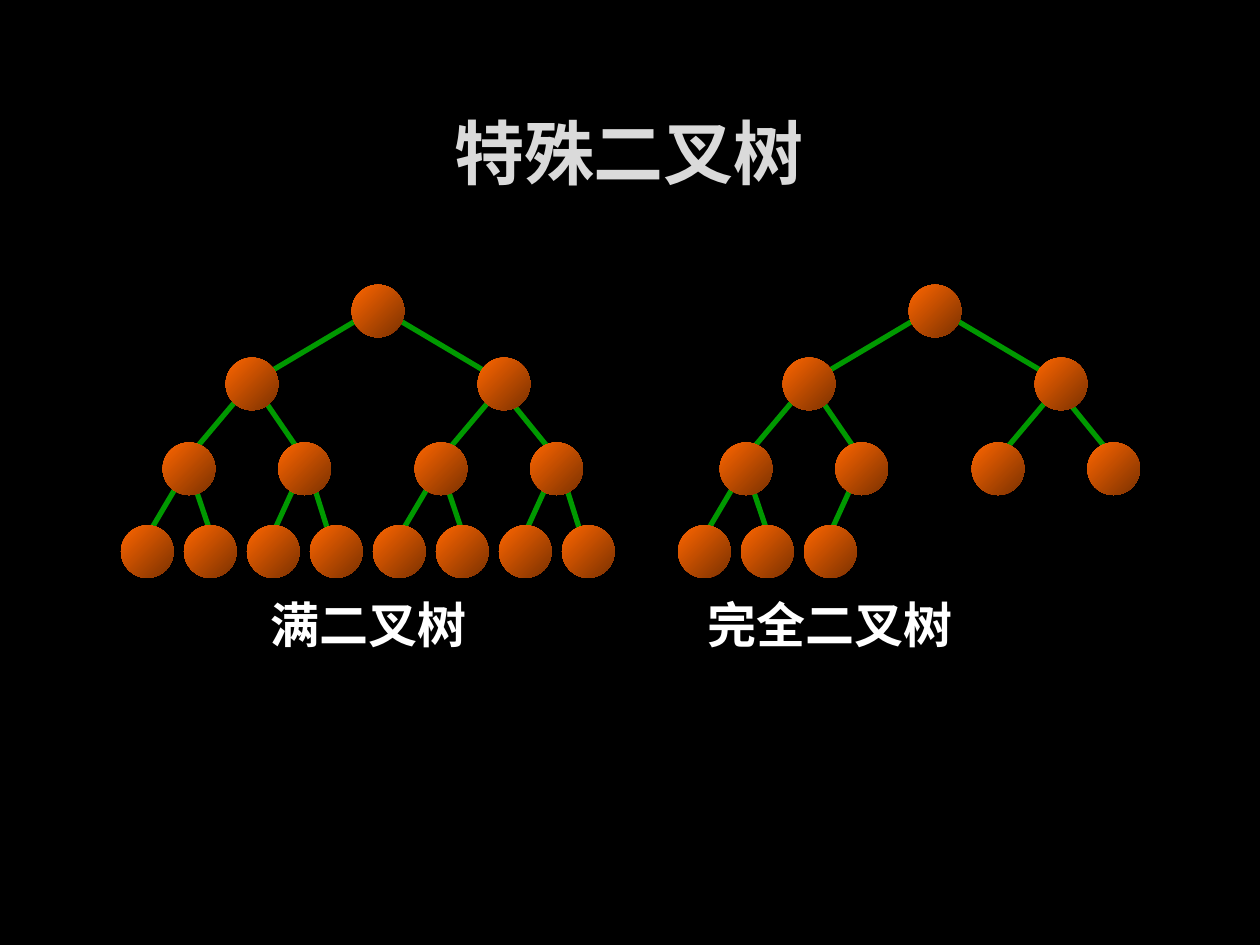
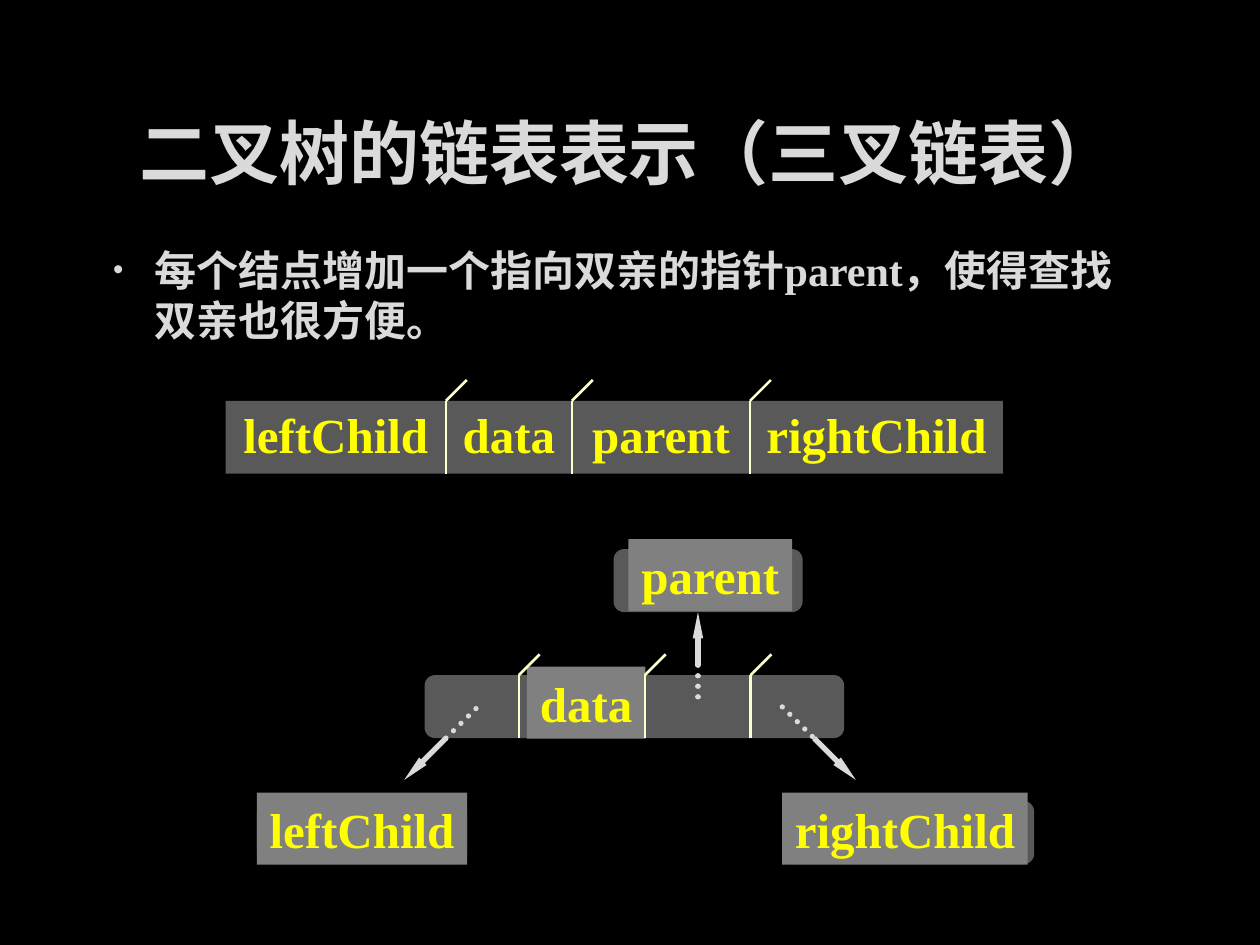
from dataclasses import dataclass

from lxml import etree
from pptx import Presentation
from pptx.dml.color import RGBColor
from pptx.enum.dml import MSO_LINE
from pptx.enum.shapes import MSO_CONNECTOR, MSO_SHAPE
from pptx.enum.text import MSO_ANCHOR, MSO_AUTO_SIZE, PP_ALIGN
from pptx.oxml.ns import qn
from pptx.util import Cm, Pt

# Enum members
LINE = MSO_CONNECTOR.STRAIGHT
RECT = MSO_SHAPE.RECTANGLE
ROUND = MSO_SHAPE.ROUNDED_RECTANGLE
OVAL = MSO_SHAPE.OVAL
MID = MSO_ANCHOR.MIDDLE
LEFT, MIDST = PP_ALIGN.LEFT, PP_ALIGN.CENTER
DOTS = MSO_LINE.ROUND_DOT
FIXED = MSO_AUTO_SIZE.NONE

# Colours and fonts
BLACK = RGBColor(0x00, 0x00, 0x00)
WHITE = RGBColor(0xFF, 0xFF, 0xFF)
PALE = RGBColor(0xDA, 0xDA, 0xDA)
GREEN = RGBColor(0x00, 0x99, 0x00)
LIGHT = RGBColor(0xFF, 0x66, 0x00)
DARK = RGBColor(0x7A, 0x31, 0x00)
GREY = RGBColor(0x80, 0x80, 0x80)
SLATE = RGBColor(0x59, 0x59, 0x59)
CREAM = RGBColor(0xFF, 0xFF, 0xCC)
YELLOW = RGBColor(0xFF, 0xFF, 0x00)
SERIF, SANS, HEAD = "Times New Roman", "Arial", "Calibri"


@dataclass(frozen=True)
class Box:
    """A frame in centimetres."""
    x: float
    y: float
    w: float
    h: float

    def place(self) -> tuple:
        return Cm(self.x), Cm(self.y), Cm(self.w), Cm(self.h)


@dataclass(frozen=True)
class Link:
    """A straight line in centimetres."""
    x1: float
    y1: float
    x2: float
    y2: float

    def shift(self, dx: float) -> "Link":
        return Link(self.x1 + dx, self.y1, self.x2 + dx, self.y2)


@dataclass(frozen=True)
class Tree:
    """A complete binary tree with its caption."""
    dx: float
    count: int
    name: str
    name_x: float


@dataclass(frozen=True)
class Bar:
    """A record whose fields are parted by dividers."""
    box: Box
    kind: int
    cuts: tuple


@dataclass(frozen=True)
class Label:
    """A grey tag on a rounded node."""
    text: str
    box: Box
    back: Box


# Tree geometry: nodes and links in level order
NODE = 1.06
ROWS = (
    (5.74, (7.09,)),
    (7.21, (4.55, 9.63)),
    (8.92, (3.28, 5.61, 8.36, 10.69)),
    (10.59, tuple(2.44 + 1.27 * i for i in range(8))),
)
NODES = [Box(x, y, NODE, NODE) for y, row in ROWS for x in row]
UPPER = [
    Link(7.32, 6.38, 5.18, 7.65), Link(7.92, 6.38, 10.06, 7.65),
    Link(4.78, 8.05, 3.71, 9.32), Link(5.18, 7.85, 6.05, 9.12),
    Link(10.06, 7.85, 8.99, 9.12), Link(10.26, 8.05, 11.13, 9.12),
]
LOWER = [
    Link(3.71, 9.55, 2.84, 11.02), Link(3.91, 9.75, 4.34, 11.02),
    Link(6.05, 9.55, 5.38, 11.02), Link(6.25, 9.55, 6.65, 10.82),
]
LINKS = UPPER + LOWER + [link.shift(5.08) for link in LOWER]
TREES = (
    Tree(0, 15, "满二叉树", 5.21),
    Tree(11.23, 10, "完全二叉树", 14.02),
)

# Linked node geometry
SLANT = 0.42
FIELDS = ("leftChild", "data", "parent", "rightChild")
RECORD = Bar(Box(4.55, 8.08, 15.67, 1.47), RECT, (8.99, 11.53, 15.12))
CENTRE = Bar(Box(8.56, 13.61, 8.46, 1.27), ROUND, (10.46, 13.0, 15.13))
DATA = Box(10.62, 13.44, 2.39, 1.45)
LABELS = (
    Label("parent", Box(12.67, 10.87, 3.3, 1.45), Box(12.37, 11.07, 3.81, 1.27)),
    Label("leftChild", Box(5.18, 15.98, 4.24, 1.45), Box(5.18, 16.15, 4.24, 1.27)),
    Label("rightChild", Box(15.77, 15.98, 4.95, 1.45), Box(15.77, 16.15, 5.08, 1.27)),
)
ARROWS = (
    Link(14.07, 13.41, 14.07, 12.34),
    Link(8.99, 14.88, 8.15, 15.72),
    Link(16.41, 14.88, 17.25, 15.72),
)
STEMS = (
    Link(14.07, 13.41, 14.07, 14.25),
    Link(8.99, 14.88, 9.63, 14.25),
    Link(15.77, 14.25, 16.41, 14.88),
)


# Shared drawing functions
def style(par, font: str, size: float, color: RGBColor, align=LEFT) -> None:
    par.alignment = align
    par.font.name = font
    par.font.size = Pt(size)
    par.font.bold = True
    par.font.color.rgb = color


def add_slide(prs, title: str, font: str):
    slide = prs.slides.add_slide(prs.slide_layouts[5])
    head = slide.shapes.title
    head.left, head.top, head.width, head.height = Box(1.9, 1.7, 21.56, 2.69).place()
    frame = head.text_frame
    frame.text = title
    frame.auto_size = FIXED
    frame.vertical_anchor = MID
    style(frame.paragraphs[0], font, 40, PALE, MIDST)
    return slide


def add_line(slide, link: Link, color: RGBColor, width: float):
    line = slide.shapes.add_connector(
        LINE, Cm(link.x1), Cm(link.y1), Cm(link.x2), Cm(link.y2))
    line.line.color.rgb = color
    line.line.width = Pt(width)
    etree.SubElement(line._element.spPr, qn("a:effectLst"))
    return line


def add_block(slide, kind, box: Box, color: RGBColor):
    block = slide.shapes.add_shape(kind, *box.place())
    block.shadow.inherit = False
    block.fill.solid()
    block.fill.fore_color.rgb = color
    block.line.fill.background()
    return block


def set_tag(shape, text: str) -> None:
    frame = shape.text_frame
    frame.text = text
    frame.word_wrap = False
    frame.vertical_anchor = MID
    style(frame.paragraphs[0], SERIF, 28, YELLOW, MIDST)


# Tree slide
def add_tree(slide, tree: Tree) -> None:
    for link in LINKS[:tree.count - 1]:
        add_line(slide, link.shift(tree.dx), GREEN, 3)
    for box in NODES[:tree.count]:
        node = add_block(slide, OVAL, Box(box.x + tree.dx, box.y, box.w, box.h), LIGHT)
        node.fill.gradient()
        node.fill.gradient_angle = 315
        for stop, color in zip(node.fill.gradient_stops, (LIGHT, DARK)):
            stop.color.rgb = color
    frame = slide.shapes.add_textbox(*Box(tree.name_x, 11.86, 6, 1.45).place()).text_frame
    frame.text = tree.name
    frame.word_wrap = True
    style(frame.paragraphs[0], SANS, 28, WHITE)


# Linked list slide
def add_point(slide, text: str) -> None:
    frame = slide.shapes.add_textbox(*Box(1.9, 4.8, 21.56, 2.2).place()).text_frame
    frame.word_wrap = True
    frame.text = text
    par = frame.paragraphs[0]
    props = par._p.get_or_add_pPr()
    props.set("marL", str(Cm(0.97)))
    props.set("indent", str(-Cm(0.84)))
    color = etree.SubElement(props, qn("a:buClr"))
    etree.SubElement(color, qn("a:srgbClr"), val=str(PALE))
    etree.SubElement(props, qn("a:buSzPct"), val="70000")
    etree.SubElement(props, qn("a:buFont"), typeface=SANS)
    etree.SubElement(props, qn("a:buChar"), char="•")
    style(par, SERIF, 24, PALE)


def add_cuts(slide, bar: Bar) -> None:
    top, base = bar.box.y, bar.box.y + bar.box.h
    for x in bar.cuts:
        add_line(slide, Link(x, base, x, top), CREAM, 1.5)
        add_line(slide, Link(x, top, x + SLANT, top - SLANT), CREAM, 1.5)


def add_record(slide) -> None:
    box = RECORD.box
    add_block(slide, RECORD.kind, box, SLATE)
    add_cuts(slide, RECORD)
    edges = (box.x, *RECORD.cuts, box.x + box.w)
    for text, start, end in zip(FIELDS, edges, edges[1:]):
        cell = Box(start, 8.03, end - start, 1.45)
        set_tag(slide.shapes.add_textbox(*cell.place()), text)


def add_nodes(slide) -> None:
    add_block(slide, CENTRE.kind, CENTRE.box, SLATE)
    set_tag(add_block(slide, RECT, DATA, GREY), "data")
    add_cuts(slide, CENTRE)
    for label in LABELS:
        add_block(slide, ROUND, label.back, SLATE)
        set_tag(add_block(slide, RECT, label.box, GREY), label.text)
    for link in ARROWS:
        pen = add_line(slide, link, PALE, 3).line._get_or_add_ln()
        etree.SubElement(pen, qn("a:tailEnd"), type="triangle", w="sm", len="lg")
    for link in STEMS:
        stem = add_line(slide, link, PALE, 3)
        stem.line.dash_style = DOTS
        stem.line._get_or_add_ln().set("cap", "rnd")


def main() -> None:
    prs = Presentation()
    prs.slide_width, prs.slide_height = Cm(25.4), Cm(19.05)
    back = prs.slide_master.background.fill
    back.solid()
    back.fore_color.rgb = BLACK

    slide = add_slide(prs, "特殊二叉树", HEAD)
    for tree in TREES:
        add_tree(slide, tree)

    slide = add_slide(prs, "二叉树的链表表示（三叉链表）", SERIF)
    add_point(slide, "每个结点增加一个指向双亲的指针parent，使得查找双亲也很方便。")
    add_record(slide)
    add_nodes(slide)
    prs.save("out.pptx")


if __name__ == "__main__":
    main()
